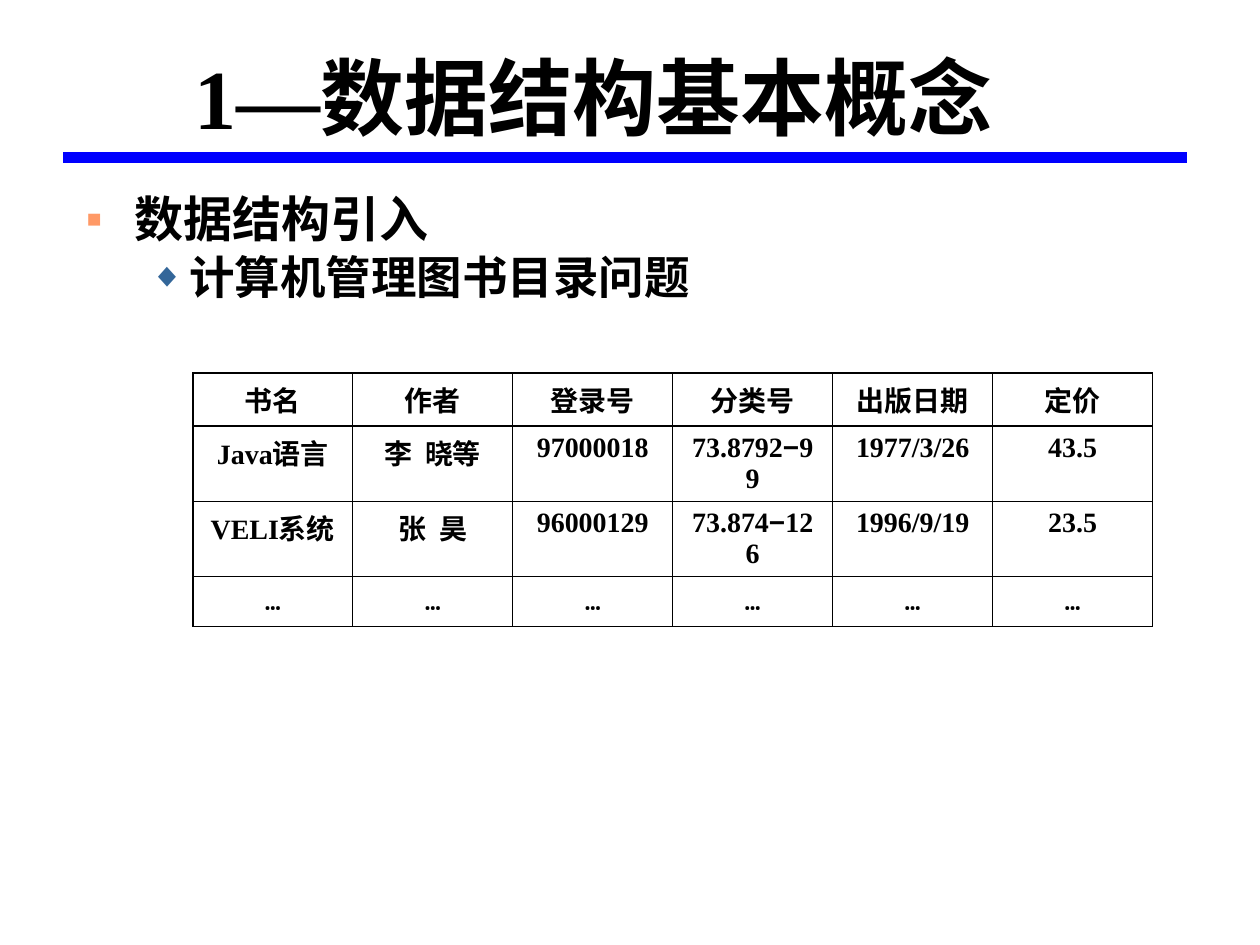
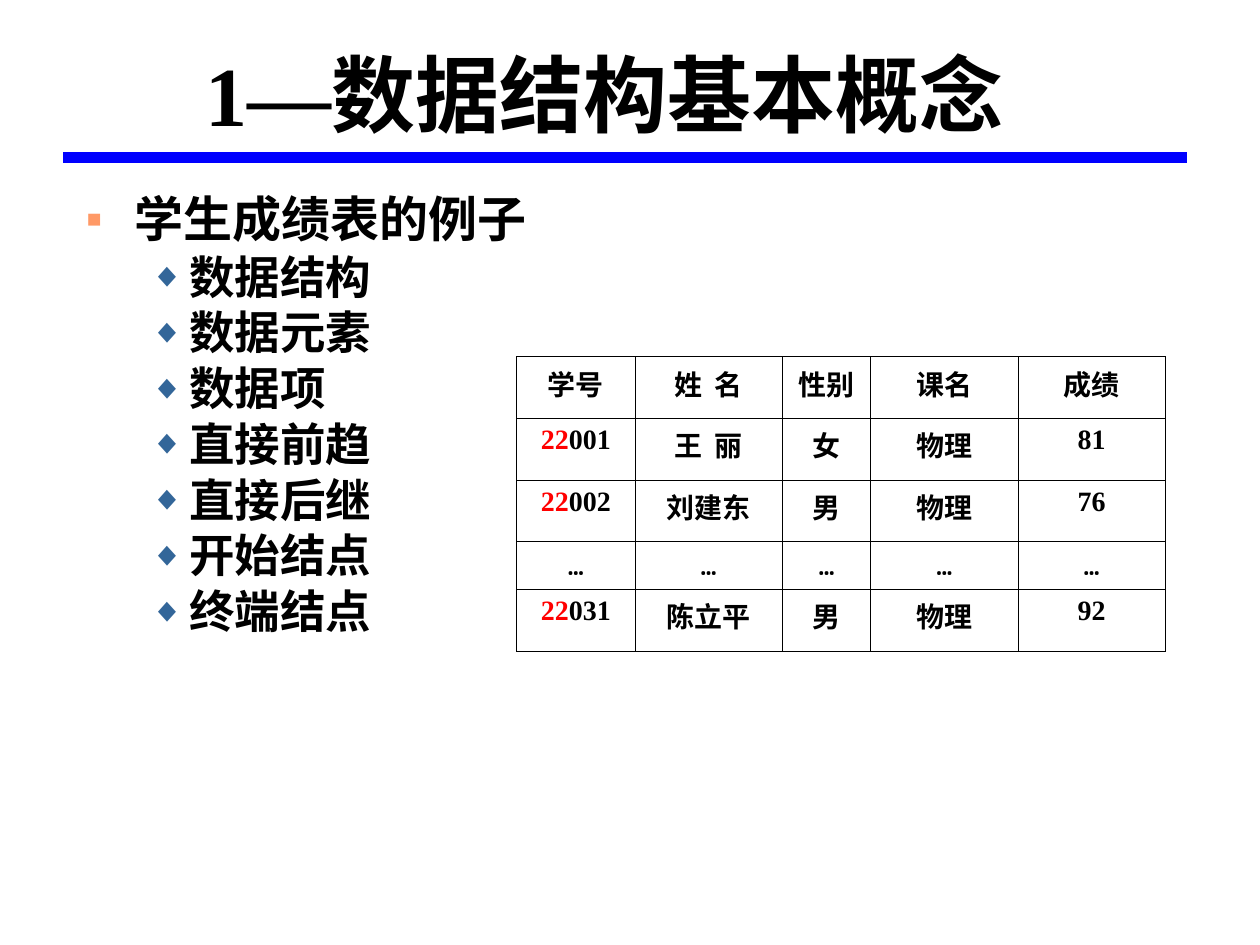
from dataclasses import dataclass

from lxml import etree
from pptx import Presentation
from pptx.dml.color import RGBColor
from pptx.enum.shapes import MSO_CONNECTOR
from pptx.enum.text import MSO_ANCHOR, MSO_AUTO_SIZE, PP_ALIGN
from pptx.oxml.ns import qn
from pptx.util import Inches, Pt

STRAIGHT = MSO_CONNECTOR.STRAIGHT
MIDDLE = MSO_ANCHOR.MIDDLE
TOP = MSO_ANCHOR.TOP
NO_AUTOFIT = MSO_AUTO_SIZE.NONE
CENTER = PP_ALIGN.CENTER

BLACK = RGBColor(0x00, 0x00, 0x00)
RED = RGBColor(0xFF, 0x00, 0x00)
BLUE = RGBColor(0x00, 0x00, 0xFF)
ORANGE = RGBColor(0xFF, 0x99, 0x66)
STEEL = RGBColor(0x33, 0x66, 0x99)

SERIF = "Times New Roman"
SANS = "Arial"
NARROW = "Arial Narrow"
ROUNDED = "Quicksand"

TITLE_SIZE = 48
CELL_SIZE = 16
THIN = 0.45
THICK = 0.96


@dataclass(frozen=True)
class Run:
    text: str
    font: str = SERIF
    color: RGBColor = BLACK
    size: float = CELL_SIZE


@dataclass(frozen=True)
class ListLevel:
    size: float
    margin: float
    hanging: float
    bullet: str
    bullet_color: RGBColor
    bullet_percent: int


@dataclass(frozen=True)
class TableSpec:
    left: float
    top: float
    columns: list[float]
    row_heights: list[float]
    rows: list[list[str | list[Run]]]
    frame_width: float


@dataclass(frozen=True)
class SlideSpec:
    title: list[Run]
    heading: str
    items: list[str]
    body_height: float
    table: TableSpec


HEADING = ListLevel(28, 0.38, 0.38, "■", ORANGE, 50)
ITEM = ListLevel(26, 0.81, 0.31, "◆", STEEL, 75)


def call_number(group: str, number: str) -> list[Run]:
    return [Run(group), Run("−", SANS), Run(number)]


def student_number(number: str) -> list[Run]:
    return [Run("22", color=RED), Run(number)]


def ellipsis_row(count: int) -> list[list[Run]]:
    return [[Run("…", ROUNDED)]] * count


BOOK_TABLE = TableSpec(
    left=1.53,
    top=2.96,
    columns=[1.27] * 6,
    row_heights=[0.36, 0.52, 0.52, 0.4],
    rows=[
        ["书名", "作者", "登录号", "分类号", "出版日期", "定价"],
        ["Java语言", "李  晓等", "97000018", call_number("73.8792", "99"), "1977/3/26", "43.5"],
        ["VELI系统", "张  昊", "96000129", call_number("73.874", "126"), "1996/9/19", "23.5"],
        ellipsis_row(6),
    ],
    frame_width=THICK,
)

GRADE_TABLE = TableSpec(
    left=4.1,
    top=2.83,
    columns=[0.94, 1.17, 0.7, 1.17, 1.17],
    row_heights=[0.49, 0.49, 0.49, 0.37, 0.49],
    rows=[
        ["学号", "姓  名", "性别", "课名", "成绩"],
        [student_number("001"), "王  丽", "女", "物理", "81"],
        [student_number("002"), "刘建东", "男", "物理", "76"],
        ellipsis_row(5),
        [student_number("031"), "陈立平", "男", "物理", "92"],
    ],
    frame_width=THIN,
)

SLIDES = [
    SlideSpec(
        title=[
            Run("1—", size=TITLE_SIZE),
            Run("数据结构基本概念", NARROW, size=TITLE_SIZE),
            Run(" ", NARROW, size=54),
        ],
        heading="数据结构引入",
        items=["计算机管理图书目录问题"],
        body_height=1.23,
        table=BOOK_TABLE,
    ),
    SlideSpec(
        title=[Run("1—数据结构基本概念", size=TITLE_SIZE)],
        heading="学生成绩表的例子",
        items=["数据结构", "数据元素", "数据项", "直接前趋", "直接后继", "开始结点", "终端结点"],
        body_height=5.56,
        table=GRADE_TABLE,
    ),
]


def add_runs(paragraph, runs: list[Run]) -> None:
    for run in runs:
        text_run = paragraph.add_run()
        text_run.text = run.text
        text_run.font.name = run.font
        text_run.font.size = Pt(run.size)
        text_run.font.bold = True
        text_run.font.color.rgb = run.color


def place(shape, left: float, top: float, width: float, height: float) -> None:
    shape.left, shape.top = Inches(left), Inches(top)
    shape.width, shape.height = Inches(width), Inches(height)
    shape.text_frame.auto_size = NO_AUTOFIT
    shape.text_frame.word_wrap = True


def add_title_rule(slide) -> None:
    rule = slide.shapes.add_connector(
        STRAIGHT, Inches(0.5), Inches(1.25), Inches(9.42), Inches(1.25)
    )
    rule.line.color.rgb = BLUE
    rule.line.width = Pt(6)
    etree.SubElement(rule._element.spPr, qn("a:effectLst"))


def fill_title(slide, runs: list[Run]) -> None:
    title = slide.shapes.title
    place(title, 1.17, 0.42, 7.25, 0.83)
    title.text_frame.vertical_anchor = MIDDLE
    paragraph = title.text_frame.paragraphs[0]
    paragraph.alignment = CENTER
    paragraph.line_spacing = 0.7
    add_runs(paragraph, runs)


def set_bullet(paragraph, level: ListLevel) -> None:
    properties = paragraph._p.get_or_add_pPr()
    properties.set("marL", str(Inches(level.margin)))
    properties.set("indent", str(-Inches(level.hanging)))
    color = etree.SubElement(properties, qn("a:buClr"))
    etree.SubElement(color, qn("a:srgbClr"), val=str(level.bullet_color))
    etree.SubElement(properties, qn("a:buSzPct"), val=str(level.bullet_percent * 1000))
    etree.SubElement(properties, qn("a:buChar"), char=level.bullet)


def fill_body(slide, heading: str, items: list[str], height: float) -> None:
    body = slide.placeholders[1]
    place(body, 0.59, 1.5, 9, height)
    body.text_frame.vertical_anchor = TOP
    for index, text in enumerate([heading, *items]):
        frame = body.text_frame
        paragraph = frame.add_paragraph() if index else frame.paragraphs[0]
        level = ITEM if index else HEADING
        set_bullet(paragraph, level)
        paragraph.level = 1 if index else 0
        paragraph.line_spacing = 0.9
        paragraph.space_before = Pt(3.8 if index else 0)
        add_runs(paragraph, [Run(text, SANS, size=level.size)])


def set_borders(cell, widths: dict[str, float]) -> None:
    properties = cell._tc.get_or_add_tcPr()
    for index, (side, width) in enumerate(widths.items()):
        line = etree.Element(qn(f"a:ln{side}"), w=str(Pt(width)))
        fill = etree.SubElement(line, qn("a:solidFill"))
        etree.SubElement(fill, qn("a:srgbClr"), val=str(BLACK))
        properties.insert(index, line)


def add_table(slide, spec: TableSpec) -> None:
    row_count, column_count = len(spec.rows), len(spec.columns)
    table = slide.shapes.add_table(
        row_count, column_count, Inches(spec.left), Inches(spec.top),
        Inches(sum(spec.columns)), Inches(sum(spec.row_heights)),
    ).table
    table.first_row = False
    table.horz_banding = False
    for column, width in zip(table.columns, spec.columns):
        column.width = Inches(width)
    for row, height in zip(table.rows, spec.row_heights):
        row.height = Inches(height)

    for row_index, row in enumerate(spec.rows):
        for column_index, content in enumerate(row):
            cell = table.cell(row_index, column_index)
            cell.fill.background()
            framed = {
                "L": column_index == 0,
                "R": column_index == column_count - 1,
                "T": row_index <= 1,
                "B": row_index in (0, row_count - 1),
            }
            set_borders(
                cell,
                {side: spec.frame_width if outer else THIN for side, outer in framed.items()},
            )
            paragraph = cell.text_frame.paragraphs[0]
            paragraph.alignment = CENTER
            add_runs(paragraph, [Run(content)] if isinstance(content, str) else content)


def main() -> None:
    presentation = Presentation()
    presentation.slide_width = Inches(10)
    presentation.slide_height = Inches(7.5)
    for spec in SLIDES:
        slide = presentation.slides.add_slide(presentation.slide_layouts[1])
        add_title_rule(slide)
        fill_title(slide, spec.title)
        fill_body(slide, spec.heading, spec.items, spec.body_height)
        add_table(slide, spec.table)
    presentation.save("out.pptx")


if __name__ == "__main__":
    main()
